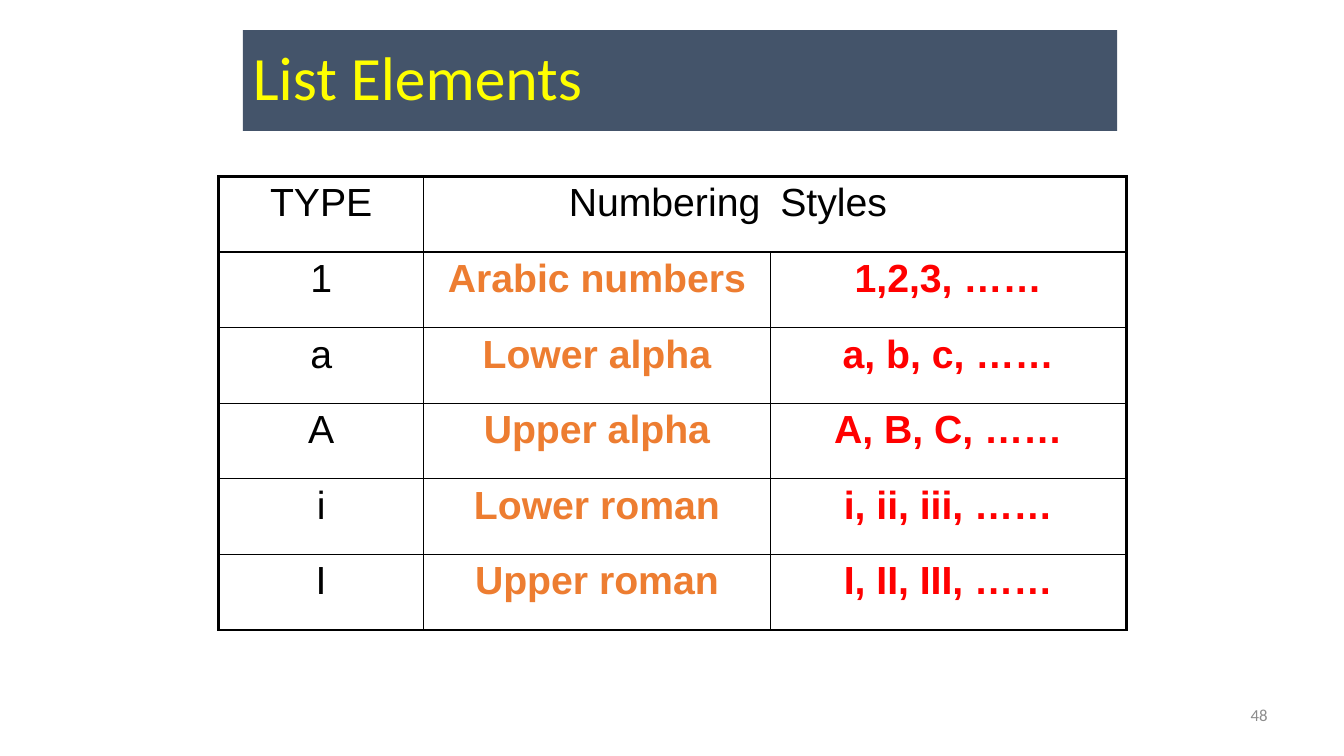
from lxml.etree import SubElement
from pptx import Presentation
from pptx.dml.color import RGBColor
from pptx.enum.shapes import MSO_SHAPE
from pptx.enum.text import MSO_ANCHOR, PP_ALIGN
from pptx.oxml.ns import qn
from pptx.util import Inches, Pt

COLORS = {"black": "000000", "slate": "44546A", "yellow": "FFFF00",
          "orange": "ED7D31", "red": "FF0000", "gray": "8C8C8C"}
TITLE = "List Elements"
PAGE_NUMBER = "48"
ROWS = [
    ("TYPE", "Numbering", "Styles"),
    ("1", "Arabic numbers", "1,2,3, ……"),
    ("a", "Lower alpha", "a, b, c, ……"),
    ("A", "Upper alpha", "A, B, C, ……"),
    ("i", "Lower roman", "i, ii, iii, ……"),
    ("I", "Upper roman", "I, II, III, ……"),
]
COLUMN_WIDTHS = [2.03, 3.44, 3.53]
COLUMN_COLORS = ["black", "orange", "red"]
HEADER_ALIGNMENTS = [PP_ALIGN.CENTER, PP_ALIGN.RIGHT, PP_ALIGN.LEFT]
ROW_HEIGHT = 0.75
THICK, THIN = 2.25, 1


def color(name):
    return RGBColor.from_string(COLORS[name])


def write(frame, text, alignment, color_name, **font_values):
    paragraph = frame.paragraphs[0]
    paragraph.alignment = alignment
    run = paragraph.add_run()
    run.text = text
    run.font.color.rgb = color(color_name)
    for name, value in font_values.items():
        setattr(run.font, name, value)
    return paragraph


def add_border(cell, side, width):
    properties = cell._tc.get_or_add_tcPr()
    line = SubElement(properties, qn(f"a:ln{side}"), w=str(Pt(width)))
    if width:
        fill = SubElement(line, qn("a:solidFill"))
        SubElement(fill, qn("a:srgbClr"), val=COLORS["black"])
    else:
        SubElement(line, qn("a:noFill"))


def add_title(slide):
    shape = slide.shapes.add_shape(
        MSO_SHAPE.RECTANGLE, Inches(2.41), Inches(0.3), Inches(8.67), Inches(1))
    shape.shadow.inherit = False
    shape.fill.solid()
    shape.fill.fore_color.rgb = color("slate")
    shape.line.fill.background()
    shape.text_frame.vertical_anchor = MSO_ANCHOR.MIDDLE
    paragraph = write(shape.text_frame, TITLE, PP_ALIGN.LEFT, "yellow",
                      name="Calibri", size=Pt(44))
    paragraph.line_spacing = 0.9


def add_styles_table(slide):
    last_row, last_column = len(ROWS) - 1, len(COLUMN_WIDTHS) - 1
    table = slide.shapes.add_table(
        len(ROWS), len(COLUMN_WIDTHS), Inches(2.17), Inches(1.75),
        Inches(sum(COLUMN_WIDTHS)), Inches(ROW_HEIGHT * len(ROWS))).table
    table.first_row = table.horz_banding = False
    for column, width in zip(table.columns, COLUMN_WIDTHS):
        column.width = Inches(width)
    for r, texts in enumerate(ROWS):
        table.rows[r].height = Inches(ROW_HEIGHT)
        for c, text in enumerate(texts):
            cell = table.cell(r, c)
            is_header = r == 0
            write(cell.text_frame, text,
                  HEADER_ALIGNMENTS[c] if is_header else PP_ALIGN.CENTER,
                  "black" if is_header else COLUMN_COLORS[c],
                  name="Arial", size=Pt(28), bold=not is_header and c > 0)
            borders = {
                "L": THICK if c == 0 else 0 if is_header and c == 2 else THIN,
                "R": THICK if c == last_column else 0 if is_header and c == 1 else THIN,
                "T": THICK if is_header else THIN,
                "B": THICK if r == last_row else THIN,
            }
            for side, width in borders.items():
                add_border(cell, side, width)
            cell.fill.background()


def add_page_number(slide):
    box = slide.shapes.add_textbox(
        Inches(9.56), Inches(6.83), Inches(3.11), Inches(0.52))
    box.text_frame.word_wrap = True
    box.text_frame.vertical_anchor = MSO_ANCHOR.MIDDLE
    write(box.text_frame, PAGE_NUMBER, PP_ALIGN.RIGHT, "gray",
          name="Calibri", size=Pt(12))


def main():
    presentation = Presentation()
    presentation.slide_width = Inches(13.33)
    presentation.slide_height = Inches(7.5)
    slide = presentation.slides.add_slide(presentation.slide_layouts[6])
    add_page_number(slide)
    add_title(slide)
    add_styles_table(slide)
    presentation.save("out.pptx")


if __name__ == "__main__":
    main()
